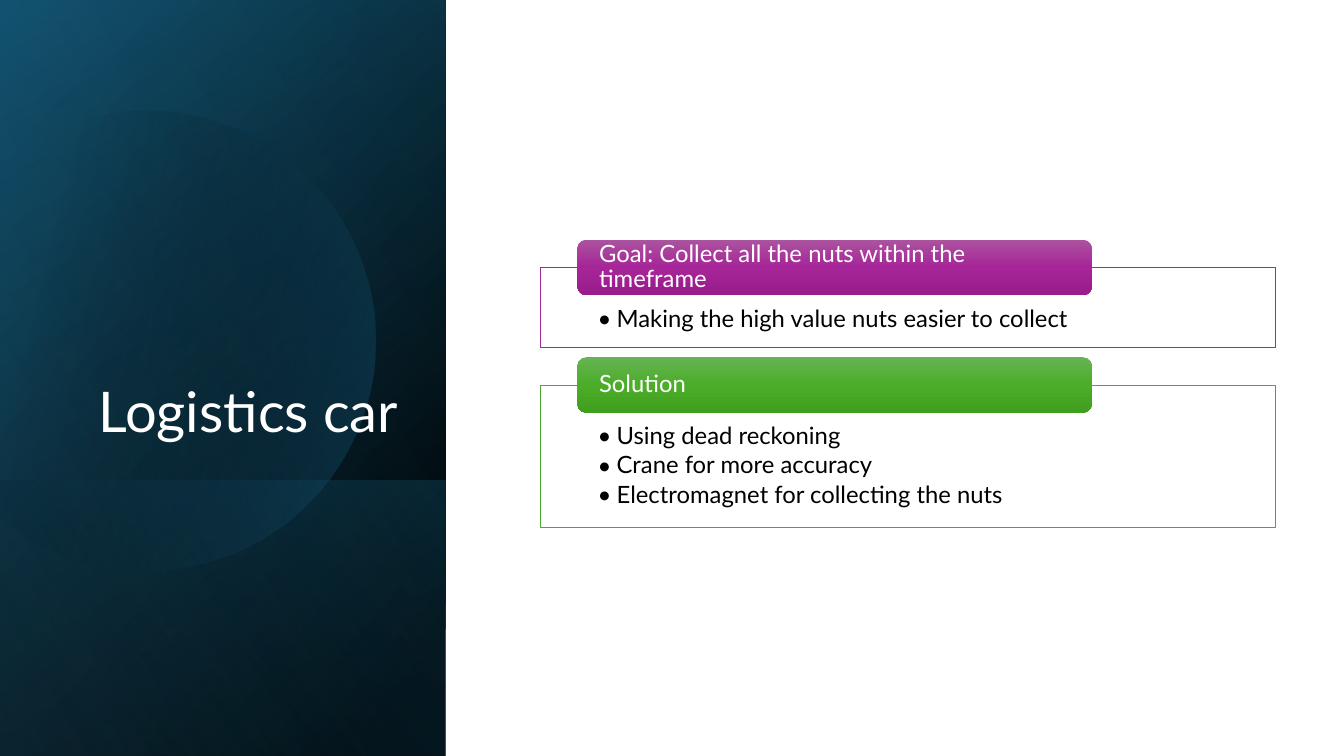
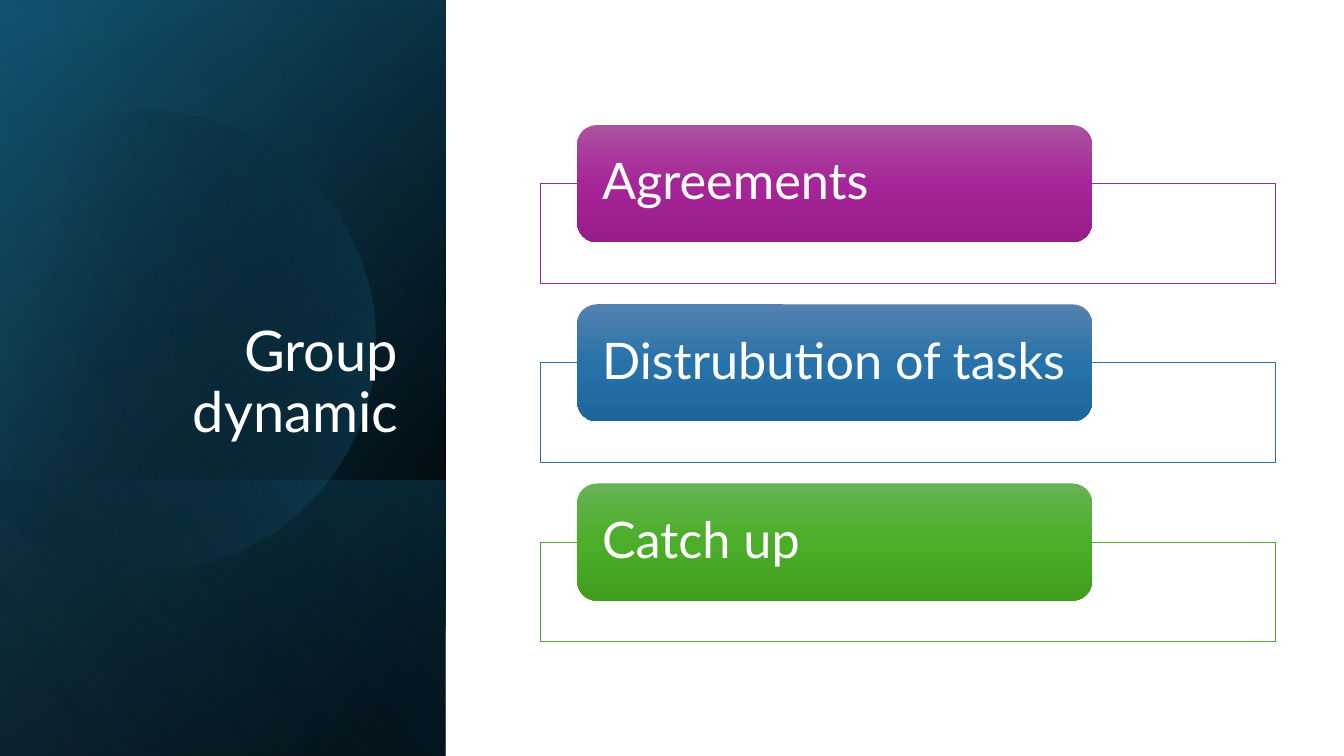
from dataclasses import dataclass

from lxml import etree
from pptx import Presentation
from pptx.dml.color import RGBColor
from pptx.enum.shapes import MSO_SHAPE
from pptx.enum.text import MSO_ANCHOR, PP_ALIGN
from pptx.oxml.ns import nsdecls, qn
from pptx.oxml import parse_xml
from pptx.util import Cm, Pt

RECT, ROUNDED = MSO_SHAPE.RECTANGLE, MSO_SHAPE.ROUNDED_RECTANGLE
OVAL = MSO_SHAPE.OVAL
TOP, MIDDLE, BOTTOM = MSO_ANCHOR.TOP, MSO_ANCHOR.MIDDLE, MSO_ANCHOR.BOTTOM
LEFT, RIGHT = PP_ALIGN.LEFT, PP_ALIGN.RIGHT


@dataclass(frozen=True)
class Theme:
    font: str = "Lato"
    white: str = "FFFFFF"
    black: str = "000000"
    deep: str = "104862"
    teal: str = "156082"
    sky: str = "46B1E1"
    title_size: int = 40


T = Theme()

# Card colours: outline, then the three header gradient colours
PURPLE = ("A02B93", "AC53A0", "A62598", "991C8B")
BLUE = ("2C71A4", "5382AF", "2772A9", "1D669C")
GREEN = ("4EA72E", "66B354", "4BAD28", "409F1E")

# Content; heights in cm
SLIDES = [
    {"title": "Logistics car", "size": 17, "header": 1.4, "cards": [
        ("Goal: Collect all the\u00a0nuts within the timeframe", PURPLE, 2.01,
         ["Making the high value nuts easier to collect"]),
        ("Solution", GREEN, 3.58,
         ["Using dead reckoning", "Crane for more accuracy",
          "Electromagnet for collecting the nuts"]),
    ]},
    {"title": "Group dynamic", "size": 36, "header": 2.95, "cards": [
        ("Agreements", PURPLE, 2.51, []),
        ("Distrubution of tasks", BLUE, 2.51, []),
        ("Catch up", GREEN, 2.51, []),
    ]},
]

# Layout in cm
SLIDE_W, SLIDE_H = 33.87, 19.05
PANEL_W, BAND_H = 11.23, 6.94
TITLE_BOX = (1.63, 4.67, 8.66, 6.65)
CIRCLE_X, CIRCLE_Y, CIRCLE_R = 3.68, 8.58, 5.79
BOX_X, BOX_W = 13.62, 18.52
HEADER_X, HEADER_W = 14.55, 12.97
CARDS_MIDDLE = 9.66
GAP_RATIO = 0.18  # gap between cards, as a share of the header height

# Panel layers: top, height, gradient angle, stops (position, colour, opacity)
PANEL_BACK = [
    (0, SLIDE_H, 50, [(8, T.black, 100), (100, T.deep, 100)]),
    (0, SLIDE_H, 30, [(0, T.black, 0), (99, T.teal, 46)]),
    (SLIDE_H - BAND_H, BAND_H, 130, [(2, T.teal, 29), (100, T.black, 30)]),
]
PANEL_GLOW = (0, SLIDE_H, 120, [(0, T.black, 0), (99, T.sky, 11)])
CIRCLE_FADE = (14, [(29, T.black, 0), (100, T.teal, 43)])


def rgb(colour):
    return RGBColor.from_string(colour)


def gradient(sp, angle, stops):
    """Fill a shape with a gradient, without outline or shadow."""
    sp.shadow.inherit = False
    sp.line.fill.background()
    sp.fill.background()
    stops_xml = "".join(
        f'<a:gs pos="{pos * 1000}"><a:srgbClr val="{colour}">'
        f'<a:alpha val="{opacity * 1000}"/></a:srgbClr></a:gs>'
        for pos, colour, opacity in stops)
    fill = parse_xml(
        f'<a:gradFill {nsdecls("a")} rotWithShape="1"><a:gsLst>{stops_xml}</a:gsLst>'
        f'<a:lin ang="{angle * 60000}" scaled="0"/></a:gradFill>')
    sp_pr = sp.element.spPr
    sp_pr.replace(sp_pr.find(qn("a:noFill")), fill)


def panel_layer(s, top, height, angle, stops):
    """Add a mirrored rectangle on its side that covers the panel's width."""
    left = (PANEL_W - height) / 2
    y = top + (height - PANEL_W) / 2
    sp = s.shapes.add_shape(RECT, Cm(left), Cm(y), Cm(height), Cm(PANEL_W))
    sp.rotation = 90
    sp.element.spPr.find(qn("a:xfrm")).set("flipH", "1")
    gradient(sp, angle, stops)
    return sp


def panel_circle(s):
    """Add the circle that bleeds off the slide's left edge."""
    sp = s.shapes.add_shape(OVAL, Cm(CIRCLE_X - CIRCLE_R), Cm(CIRCLE_Y - CIRCLE_R),
                            Cm(2 * CIRCLE_R), Cm(2 * CIRCLE_R))
    gradient(sp, *CIRCLE_FADE)
    return sp


def set_up_layout(s):
    """Move the panel to the layout and place the layout's title."""
    title = s.slide_layout.placeholders[0]
    title.left, title.top, title.width, title.height = map(Cm, TITLE_BOX)
    parts = [panel_layer(s, *layer) for layer in PANEL_BACK]
    parts += [panel_circle(s), panel_layer(s, *PANEL_GLOW)]
    for part in parts:
        title.element.addprevious(part.element)


def write(tf, lines, size, colour, align=LEFT, anchor=MIDDLE, bullet=False):
    tf.word_wrap = True
    tf.vertical_anchor = anchor
    for i, line in enumerate(lines):
        p = tf.paragraphs[0] if i == 0 else tf.add_paragraph()
        p.text = line
        p.alignment = align
        p.line_spacing = 0.9
        if bullet:
            p.space_after = Pt(2.5)
            p_pr = p._p.get_or_add_pPr()
            p_pr.set("marL", str(Cm(0.48)))
            p_pr.set("indent", str(-Cm(0.48)))
            etree.SubElement(p_pr, qn("a:buFont")).set("typeface", T.font)
            etree.SubElement(p_pr, qn("a:buChar")).set("char", "•")
        p.font.name = T.font
        p.font.size = Pt(size)
        p.font.color.rgb = rgb(colour)


def set_margins(tf, side, top=0, bottom=0):
    tf.margin_left = tf.margin_right = Cm(side)
    tf.margin_top, tf.margin_bottom = Cm(top), Cm(bottom)


def add_card(s, y, header_h, size, heading, colours, box_h, items):
    """Add an outlined box with a header straddling its top edge."""
    outline, *shades = colours
    box = s.shapes.add_shape(RECT, Cm(BOX_X), Cm(y + header_h / 2),
                             Cm(BOX_W), Cm(box_h))
    box.shadow.inherit = False
    box.fill.solid()
    box.fill.fore_color.rgb = rgb(T.white)
    box.line.color.rgb = rgb(outline)
    box.line.width = Pt(0.5)
    if items:
        set_margins(box.text_frame, 1.44, 0.99, 0.33)
        write(box.text_frame, items, size, T.black, anchor=TOP, bullet=True)

    header = s.shapes.add_shape(ROUNDED, Cm(HEADER_X), Cm(y),
                                Cm(HEADER_W), Cm(header_h))
    gradient(header, 90, [(i * 50, c, 100) for i, c in enumerate(shades)])
    set_margins(header.text_frame, 0.48)
    write(header.text_frame, [heading], size, T.white)


def add_cards(s, header_h, size, cards):
    """Stack the cards around a shared vertical middle."""
    gap = GAP_RATIO * header_h
    heights = [header_h / 2 + box_h for _, _, box_h, _ in cards]
    y = CARDS_MIDDLE - (sum(heights) + gap * (len(cards) - 1)) / 2
    for card, height in zip(cards, heights):
        add_card(s, y, header_h, size, *card)
        y += height + gap


def main():
    prs = Presentation()
    prs.slide_width, prs.slide_height = Cm(SLIDE_W), Cm(SLIDE_H)
    layout = prs.slide_layouts[5]
    for i, content in enumerate(SLIDES):
        s = prs.slides.add_slide(layout)
        if i == 0:
            set_up_layout(s)
        write(s.shapes.title.text_frame, [content["title"]], T.title_size,
              T.white, align=RIGHT, anchor=BOTTOM)
        add_cards(s, content["header"], content["size"], content["cards"])
    prs.save("out.pptx")


if __name__ == "__main__":
    main()
